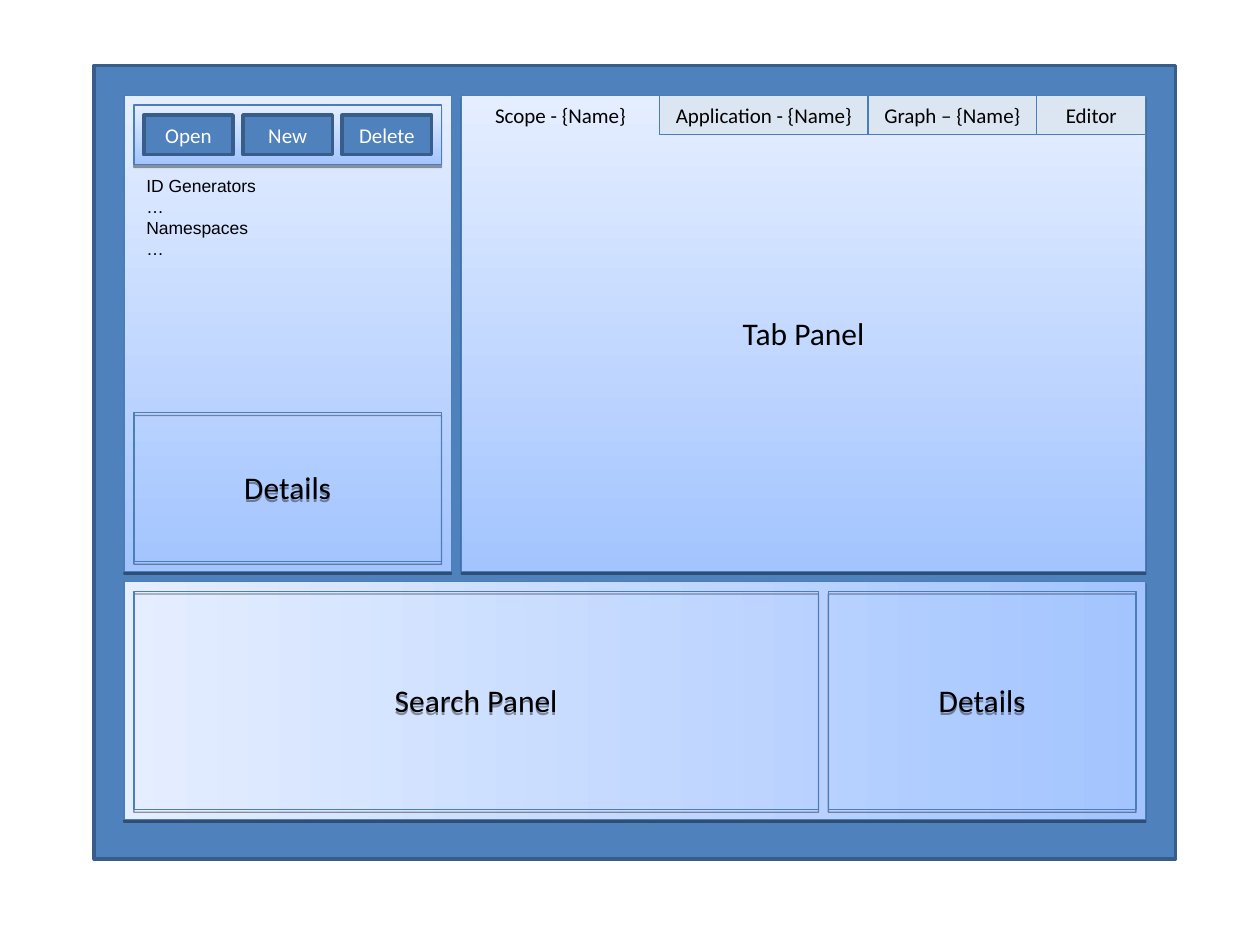
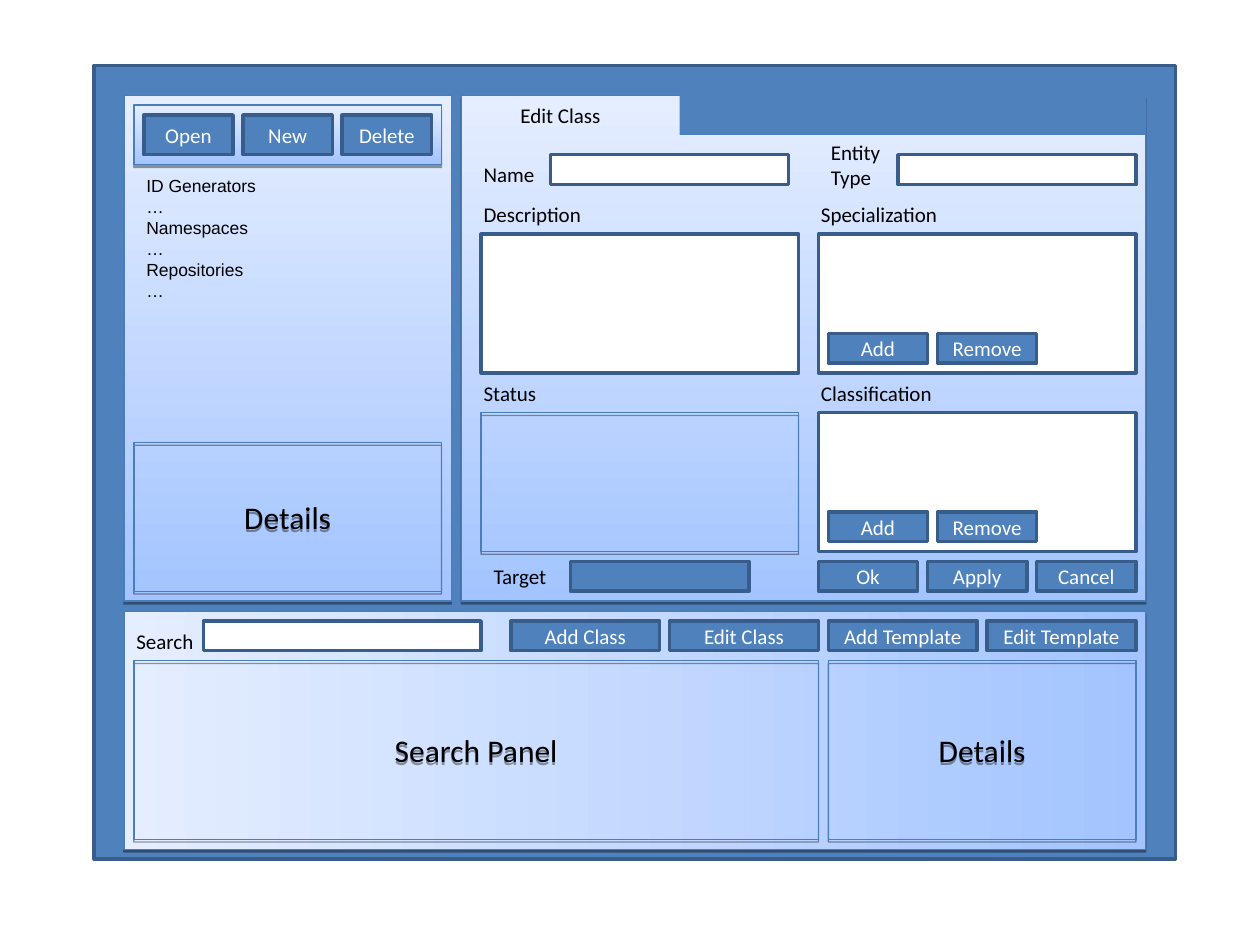
from dataclasses import dataclass

from lxml.etree import SubElement
from pptx import Presentation
from pptx.dml.color import RGBColor
from pptx.enum.shapes import MSO_SHAPE
from pptx.enum.text import MSO_ANCHOR, MSO_AUTO_SIZE, PP_ALIGN
from pptx.oxml.ns import qn
from pptx.util import Cm, Pt


@dataclass(frozen=True)
class Theme:
    """Colours, type sizes and spacing shared by both screens."""
    blue: str = "4F81BD"
    border: str = "385D8A"
    edge: str = "4A7EBB"
    deep: str = "A3C4FF"
    pale: str = "E5EEFF"
    tab: str = "DCE6F2"
    white: str = "FFFFFF"
    black: str = "000000"
    font: str = "Calibri"
    list_font: str = "Arial"
    big: int = 18
    label: int = 12
    small: int = 10
    thick: float = 2
    thin: float = 0.75
    gap: float = 0.2
    top: float = 1.92
    left: float = 2.5
    main_left: float = 9.3


T = Theme()
DOWN, ACROSS = 90, 180


def rgb(color):
    """Turn a hex string into a colour."""
    return RGBColor.from_string(color)


def apply(obj, formats):
    """Set each attribute named in a dict of format values."""
    for name, value in formats.items():
        setattr(obj, name, value)


def write(sp, lines, size=T.label, color=T.black, align=PP_ALIGN.CENTER,
          font=T.font, **frame):
    """Write one paragraph per line into a shape."""
    tf = sp.text_frame
    apply(tf, {"word_wrap": True, "vertical_anchor": MSO_ANCHOR.MIDDLE, **frame})
    for i, line in enumerate(lines):
        p = tf.paragraphs[0] if i == 0 else tf.add_paragraph()
        p.alignment = align
        r = p.add_run()
        r.text = line
        apply(r.font, {"name": font, "size": Pt(size)})
        r.font.color.rgb = rgb(color)


def box(s, x, y, w, h, fill=None, line=None, weight=T.thin):
    """Draw a flat rectangle measured in centimetres."""
    sp = s.shapes.add_shape(MSO_SHAPE.RECTANGLE, Cm(x), Cm(y), Cm(w), Cm(h))
    sp.shadow.inherit = False
    if fill:
        sp.fill.solid()
        sp.fill.fore_color.rgb = rgb(fill)
    else:
        sp.fill.background()
    if line:
        sp.line.color.rgb = rgb(line)
        sp.line.width = Pt(weight)
    else:
        sp.line.fill.background()
    return sp


def drop_shadow(sp):
    """Give a shape a hard shadow just below it."""
    effects = sp._element.spPr.find(qn("a:effectLst"))
    shadow = SubElement(effects, qn("a:outerShdw"), blurRad="0", dist="20320",
                        dir="5400000", rotWithShape="0")
    color = SubElement(shadow, qn("a:srgbClr"), val=T.black)
    SubElement(color, qn("a:alpha"), val="38000")


def panel(s, x, y, w, h, angle=DOWN):
    """Draw a shadowed panel that fades from pale to deep blue."""
    sp = box(s, x, y, w, h, line=T.edge)
    sp.fill.gradient()
    sp.fill.gradient_angle = angle
    for stop, color in zip(sp.fill.gradient_stops, (T.deep, T.pale)):
        stop.color.rgb = rgb(color)
    drop_shadow(sp)
    return sp


def outline(s, x, y, w, h, text=None):
    """Draw an unfilled, shadowed area with an optional caption."""
    sp = box(s, x, y, w, h, line=T.edge)
    drop_shadow(sp)
    if text:
        write(sp, [text], T.big)


def field(s, x, y, w, h=0.6, fill=T.white):
    """Draw an input field."""
    return box(s, x, y, w, h, fill, T.border, T.thick)


def buttons(s, x, y, w, h, names):
    """Draw a row of equally spaced buttons."""
    for i, name in enumerate(names):
        sp = field(s, x + i * (w + T.gap), y, w, h, T.blue)
        write(sp, [name], color=T.white)


def label(s, x, y, w, h, lines, **formats):
    """Place a text label."""
    sp = s.shapes.add_textbox(Cm(x), Cm(y), Cm(w), Cm(h))
    write(sp, lines, **{"align": PP_ALIGN.LEFT, **formats})


def tabs(s, active, others=()):
    """Draw the active tab title and the inactive tabs to its right."""
    x, w = T.main_left, 4
    label(s, x, T.top, w, 0.8, [active], align=PP_ALIGN.CENTER)
    x += w
    for name, w in others:
        write(box(s, x, T.top, w, 0.8, T.tab, T.edge), [name])
        x += w


def screen(prs, height, search_offset, items, list_height, main_text=None):
    """Add a slide with the frame, side panel, main panel and search panel."""
    s = prs.slides.add_slide(prs.slide_layouts[6])
    inner = T.left + T.gap
    box(s, 1.9, 1.32, 21.8, 16, T.blue, T.border, T.thick)
    panel(s, T.left, T.top, 6.6, height)
    main_panel = panel(s, T.main_left, T.top, 13.8, height)
    if main_text:
        write(main_panel, [main_text], T.big)

    panel(s, inner, T.top + T.gap, 6.2, 1.2)
    buttons(s, inner + T.gap, T.top + 2 * T.gap, 1.8, 0.8,
            ["Open", "New", "Delete"])
    label(s, inner, 3.4, 2.72, list_height, items, size=T.small,
          font=T.list_font, word_wrap=False, vertical_anchor=MSO_ANCHOR.TOP,
          auto_size=MSO_AUTO_SIZE.SHAPE_TO_FIT_TEXT)
    outline(s, inner, T.top + height - T.gap - 3, 6.2, 3, "Details")

    bottom = T.top + height + T.gap
    panel(s, T.left, bottom, 20.6, 4.8, ACROSS)
    y, h = bottom + search_offset, 4.8 - T.gap - search_offset
    outline(s, inner, y, 13.8, h, "Search Panel")
    outline(s, inner + 13.8 + T.gap, y, 6.2, h, "Details")
    return s


def class_form(s):
    """Fill the main panel with the class editing form."""
    first, second = 9.7, 16.5
    box(s, 13.7, T.top, 9.4, 0.8, T.blue)
    for x in (first, second):
        field(s, x + 1.4 + T.gap * (x == second), 3.12, 4.8)
        field(s, x, 4.72, 6.4, 2.8)
    label(s, 9.5, 3.12, 1.6, 0.8, ["Name"])
    label(s, second, 2.92, 1.6, 0.8, ["Entity Type"])
    for y, names in ((3.92, ("Description", "Specialization")),
                     (7.52, ("Status", "Classification"))):
        for x, name in zip((first, second), names):
            label(s, x - T.gap, y, 3, 0.8, [name])
    outline(s, first, 8.32, 6.4, 2.8)
    field(s, second, 8.32, 6.4, 2.8)
    for y in (6.72, 10.32):
        buttons(s, second + T.gap, y, 2, 0.6, ["Add", "Remove"])
    buttons(s, second, 11.32, 2, 0.6, ["Ok", "Apply", "Cancel"])
    field(s, 11.5, 11.32, 3.6, fill=T.blue)
    label(s, first, 11.32, 2.2, 0.6, ["Target"])


def search_bar(s):
    """Add the search field and its buttons above the search panel."""
    y = 12.52
    field(s, 4.1, y, 5.6)
    label(s, T.left, y, 3, 0.8, ["Search"])
    buttons(s, 10.3, y, 3, 0.6,
            ["Add Class", "Edit Class", "Add Template", "Edit Template"])


def main():
    """Build both screens and save the file."""
    prs = Presentation()
    apply(prs, {"slide_width": Cm(25.4), "slide_height": Cm(19.05)})
    items = ["ID Generators", "…", "Namespaces", "…"]

    s = screen(prs, 9.6, T.gap, items, 1.96, "Tab Panel")
    tabs(s, "Scope - {Name}", [("Application - {Name}", 4.2),
                               ("Graph – {Name}", 3.4), ("Editor", 2.2)])

    s = screen(prs, 10.2, 1, items + ["Repositories", "…"], 2.79)
    tabs(s, "Edit Class")
    class_form(s)
    search_bar(s)
    prs.save("out.pptx")


if __name__ == "__main__":
    main()
